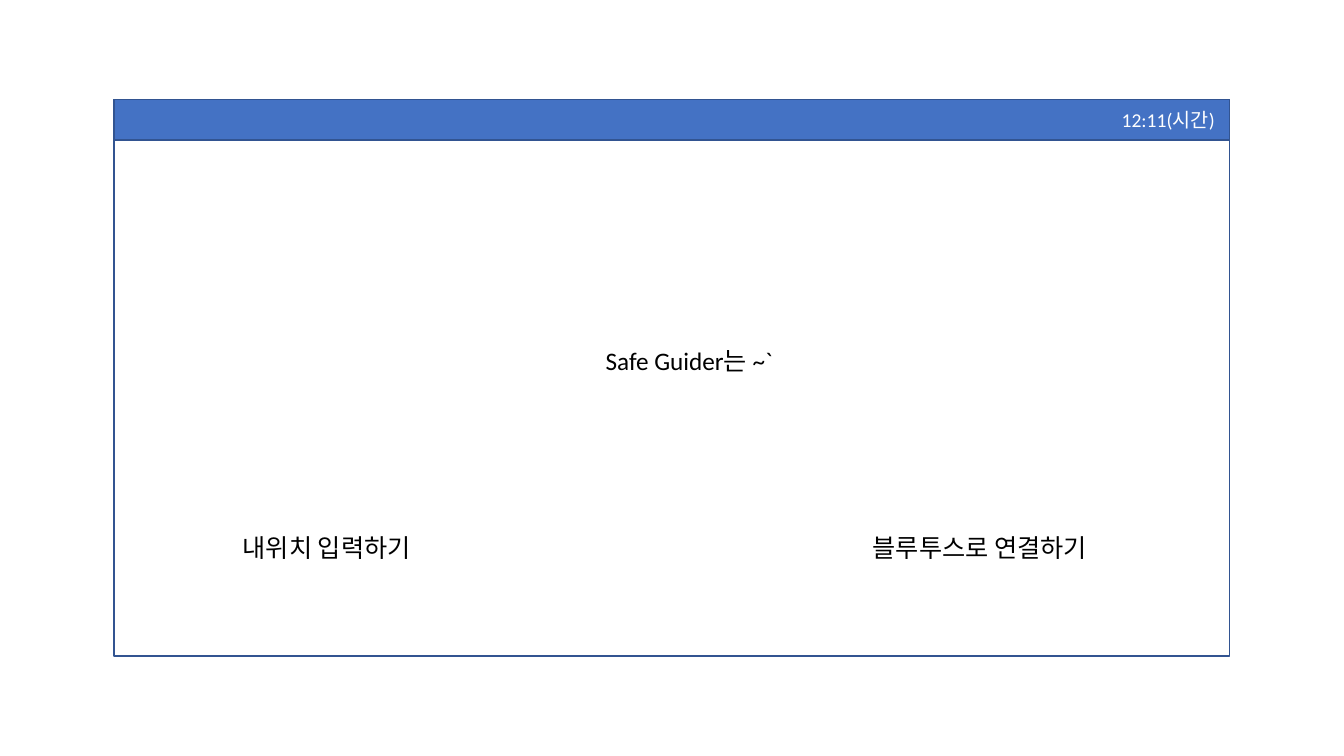
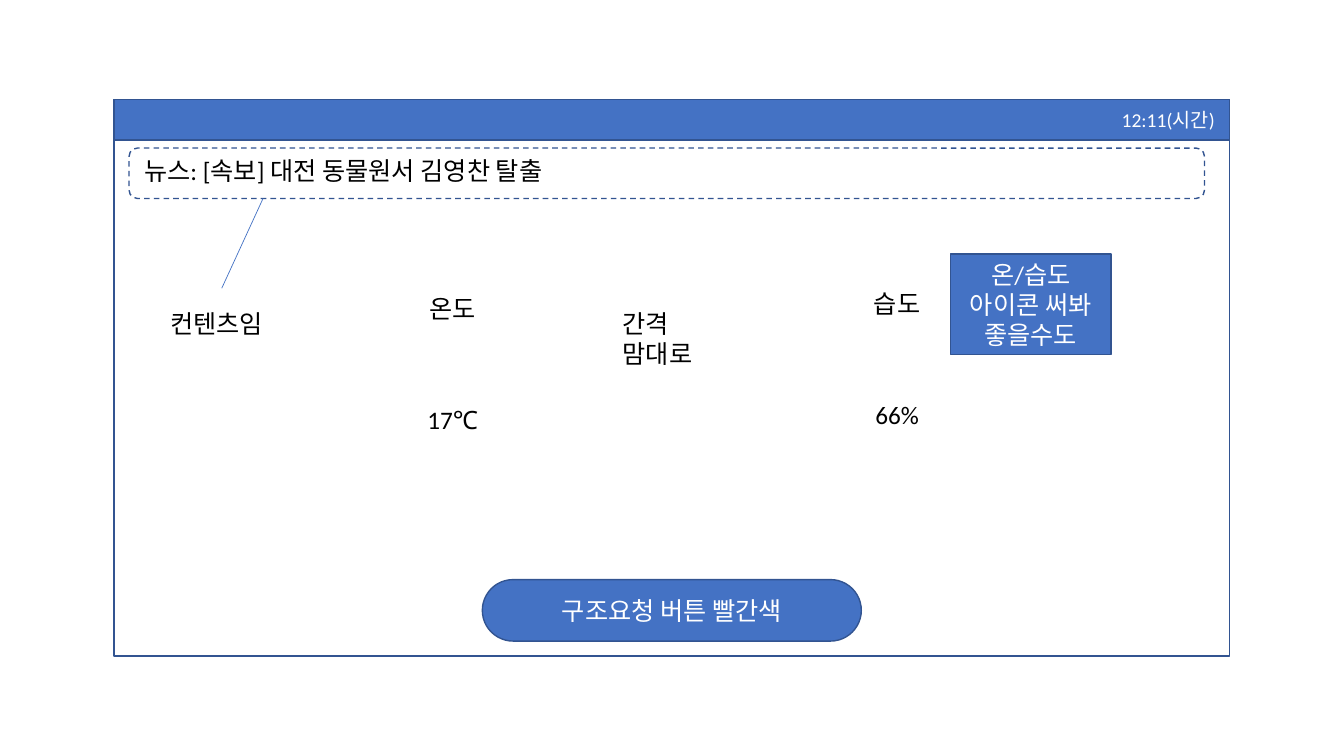
from lxml.etree import SubElement
from pptx import Presentation
from pptx.dml.color import RGBColor
from pptx.enum.dml import MSO_LINE_DASH_STYLE as Dash
from pptx.enum.shapes import MSO_CONNECTOR as Connector, MSO_SHAPE as Shape
from pptx.enum.text import MSO_ANCHOR as Anchor, MSO_AUTO_SIZE as AutoSize, PP_ALIGN as Align
from pptx.oxml.ns import qn
from pptx.util import Pt

# Content
CLOCK = "12:11(시간)"
INTRO = "Safe Guider는 ~`"
CHOICES = [("내위치 입력하기", 166.3), ("블루투스로 연결하기", 616.3)]
NEWS = "뉴스: [속보] 대전 동물원서 김영찬 탈출 "
NEWS_REMARK = "컨텐츠임"
GAP_REMARK = "간격 맘대로"
ICON_REMARK = "온/습도 아이콘 써봐 좋을수도"
RESCUE = "구조요청 버튼 빨간색"
READINGS = [("온도", "17℃", 187.9, 205.9), ("습도", "66%", 505.4, 202.3)]

# Shared look
BLUE = RGBColor(0x44, 0x72, 0xC4)
NAVY = RGBColor(0x32, 0x54, 0x91)
WHITE = RGBColor(0xFF, 0xFF, 0xFF)
BLACK = RGBColor(0, 0, 0)
FONT = "Calibri"
BODY_SIZE, CLOCK_SIZE = 18, 14
LINE_H = 29

# Screen layout, in points
SCREEN_X, SCREEN_Y, SCREEN_W, SCREEN_H = 81.4, 71.3, 797, 397.4
BAR_H = 28.8
CLOCK_W, CLOCK_MARGIN = 136.8, 3.6
CHOICE_W, CHOICE_Y = 260, 376.6
READING_W, VALUE_W, VALUE_DROP = 270.7, 193.7, 79.2
NEWS_X, NEWS_Y, NEWS_W, NEWS_H = 92.2, 105.8, 768.2, 36
RESCUE_W, RESCUE_H, RESCUE_Y = 270.7, 43.9, 414

prs = Presentation()
prs.slide_width, prs.slide_height = Pt(960), Pt(540)


def write(frame, text, color, size, align):
    frame.word_wrap = True
    paragraph = frame.paragraphs[0]
    paragraph.alignment = align
    run = paragraph.add_run()
    run.text = text
    run.font.color.rgb = color
    for key, value in {"name": FONT, "size": Pt(size)}.items():
        setattr(run.font, key, value)


def label(shapes, text, x, y, w, h=LINE_H, color=BLACK, size=BODY_SIZE, align=Align.LEFT):
    frame = shapes.add_textbox(Pt(x), Pt(y), Pt(w), Pt(h)).text_frame
    write(frame, text, color, size, align)
    frame.auto_size = AutoSize.SHAPE_TO_FIT_TEXT


def panel(shapes, x, y, w, h, kind=Shape.RECTANGLE, fill=None, text=None, dash=None):
    box = shapes.add_shape(kind, Pt(x), Pt(y), Pt(w), Pt(h))
    box.shadow.inherit = False
    if fill is None:
        box.fill.background()
    else:
        box.fill.solid()
        box.fill.fore_color.rgb = fill
    box.line.color.rgb = NAVY
    for key, value in {"width": Pt(1), "dash_style": dash}.items():
        setattr(box.line, key, value)
    if text:
        box.text_frame.vertical_anchor = Anchor.MIDDLE
        write(box.text_frame, text, WHITE, BODY_SIZE, Align.CENTER)
    return box


def add_screen():
    """Blank slide with the app frame, status bar and clock."""
    shapes = prs.slides.add_slide(prs.slide_layouts[6]).shapes
    panel(shapes, SCREEN_X, SCREEN_Y, SCREEN_W, SCREEN_H)
    panel(shapes, SCREEN_X, SCREEN_Y, SCREEN_W, BAR_H, fill=BLUE)
    clock_x = SCREEN_X + SCREEN_W - CLOCK_MARGIN - CLOCK_W
    label(shapes, CLOCK, clock_x, SCREEN_Y + 2.2, CLOCK_W, 24.5, WHITE, CLOCK_SIZE, Align.RIGHT)
    return shapes


# Start screen
start = add_screen()
label(start, INTRO, 425.5, 243.4, 177.8)
for choice, x in CHOICES:
    label(start, choice, x, CHOICE_Y, CHOICE_W)

# Main screen: readings
main = add_screen()
for name, value, x, y in READINGS:
    reading = main.add_group_shape().shapes
    label(reading, name, x, y, READING_W, align=Align.CENTER)
    value_x = x + (READING_W - VALUE_W) / 2
    label(reading, value, value_x, y + VALUE_DROP, VALUE_W, align=Align.CENTER)

# Main screen: remarks and rescue button
label(main, GAP_REMARK, 437.8, 216.7, 76.3, 51)
panel(main, 679, 181.4, 114.5, 72, fill=BLUE, text=ICON_REMARK)
rescue_x = SCREEN_X + (SCREEN_W - RESCUE_W) / 2
rescue = panel(main, rescue_x, RESCUE_Y, RESCUE_W, RESCUE_H,
               Shape.ROUNDED_RECTANGLE, BLUE, RESCUE)
rescue.adjustments[0] = 0.5

# Main screen: news ticker and its remark
label(main, NEWS, NEWS_X + 3.6, NEWS_Y + 1.5, NEWS_W - 8)
panel(main, NEWS_X, NEWS_Y, NEWS_W, NEWS_H, Shape.ROUNDED_RECTANGLE, dash=Dash.DASH)
pointer = main.add_connector(Connector.STRAIGHT, Pt(187.9), Pt(NEWS_Y + NEWS_H),
                             Pt(158.4), Pt(205.9))
pointer.line.color.rgb = BLUE
pointer.line.width = Pt(0.5)
SubElement(pointer._element.spPr, qn("a:effectLst"))
label(main, NEWS_REMARK, 114.5, 216.7, 111.6)

prs.save("out.pptx")
